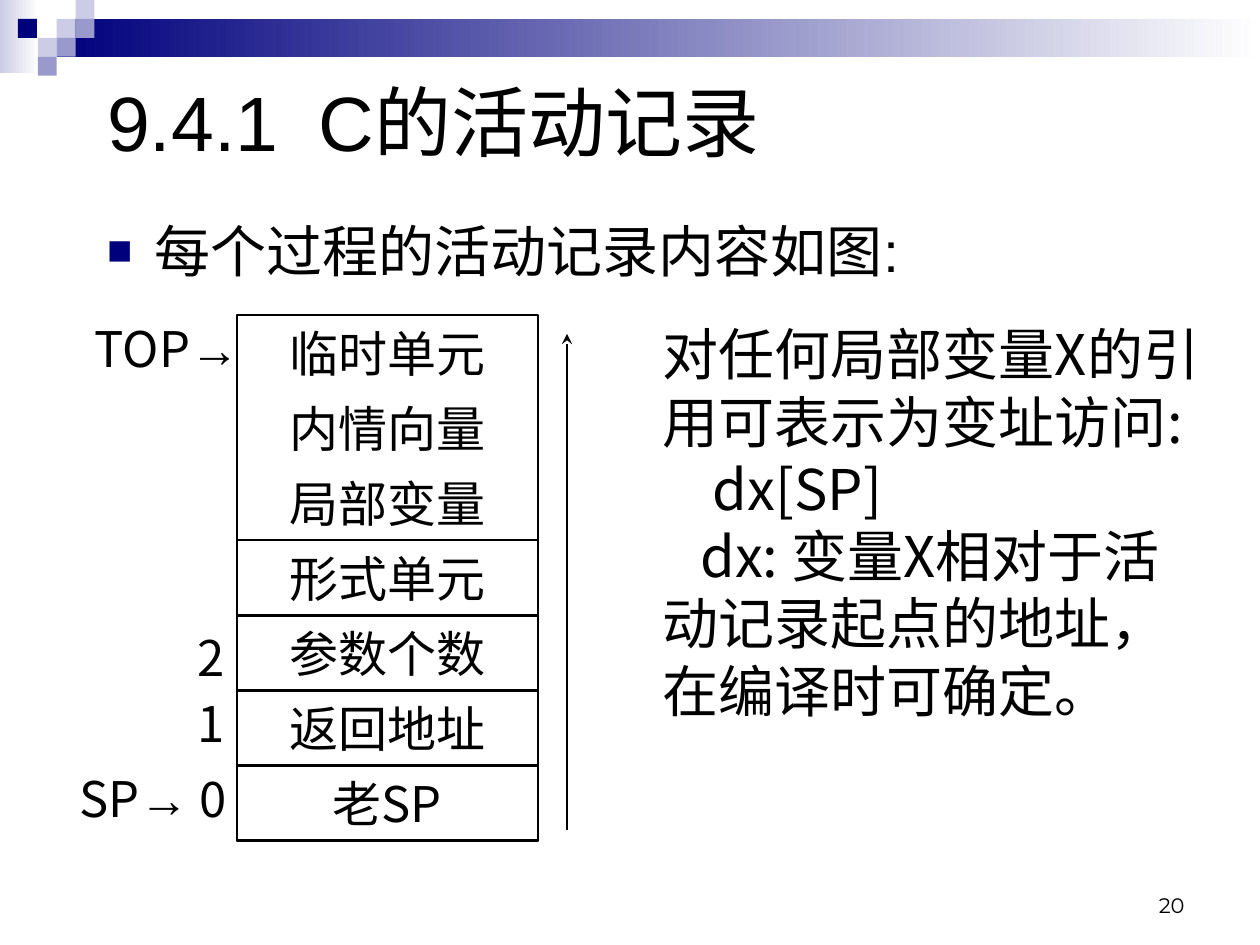
from lxml.etree import SubElement
from pptx import Presentation
from pptx.dml.color import RGBColor
from pptx.enum.shapes import MSO_CONNECTOR, MSO_SHAPE
from pptx.enum.text import MSO_ANCHOR, MSO_AUTO_SIZE, PP_ALIGN
from pptx.oxml.ns import qn
from pptx.util import Inches, Pt

COLORS = {"navy": "00007D", "mid": "9999CC", "pale": "CCCCE6",
          "white": "FFFFFF", "black": "000000"}
CJK = "Noto Sans CJK SC"
LATIN = "Arial"
UNIT = 0.1  # the slide is a grid of 100 columns by 75 rows


def rgb(name):
    return RGBColor.from_string(COLORS[name])


def grid(*cells):
    return [Inches(c * UNIT) for c in cells]


def add_xml(parent, tag, **attrs):
    return SubElement(parent, qn(tag), attrs)


def write(sp, paragraphs, size=28, font=CJK, align=PP_ALIGN.LEFT,
          anchor=MSO_ANCHOR.MIDDLE, wrap=False, indents=()):
    """Fill a shape; a paragraph is a string or a list of (text, font)."""
    tf = sp.text_frame
    tf.auto_size = MSO_AUTO_SIZE.NONE
    tf.word_wrap = wrap
    tf.vertical_anchor = anchor
    for i, runs in enumerate(paragraphs):
        p = tf.paragraphs[0] if i == 0 else tf.add_paragraph()
        p.alignment = align
        if i < len(indents):
            p._p.get_or_add_pPr().set("indent", str(Inches(indents[i] * UNIT)))
        for text, name in [(runs, font)] if isinstance(runs, str) else runs:
            r = p.add_run()
            r.text = text
            r.font.size = Pt(size)
            r.font.name = name
            r.font.color.rgb = rgb("black")
            add_xml(r._r.get_or_add_rPr(), "a:ea", typeface=CJK)
    return tf


def add_text(slide, box, paragraphs, **fmt):
    return write(slide.shapes.add_textbox(*grid(*box)), paragraphs, **fmt)


def add_rect(slide, box, fill=None, fade=None, line=False):
    sp = slide.shapes.add_shape(MSO_SHAPE.RECTANGLE, *grid(*box))
    sp.shadow.inherit = False
    if fade:
        sp.fill.gradient()
        sp.fill.gradient_angle = 0
        for stop, name in zip(sp.fill.gradient_stops, (fill, fade)):
            stop.color.rgb = rgb(name)
    elif fill:
        sp.fill.solid()
        sp.fill.fore_color.rgb = rgb(fill)
    else:
        sp.fill.background()
    if line:
        sp.line.color.rgb = rgb("black")
        sp.line.width = Pt(1.5)
    else:
        sp.line.fill.background()
    return sp


def banner(slide, left, top, width):
    """Fading bars with a checker of small squares."""
    side = 1.5
    add_rect(slide, (left, top, 3.1, 5.8), "pale", "white")
    add_rect(slide, (left + 3 * side, top + side, width - 3 * side, 2 * side),
             "navy", "white")
    squares = [(3, 1, "pale"), (4, 0, "pale"), (4, 1, "mid"), (2, 2, "pale"),
               (0.95, 1, "navy"), (3, 2, "mid"), (2, 3, "mid")]
    for col, row, color in squares:
        add_rect(slide, (left + col * side, top + row * side, side, side), color)


def heading(slide, title_box, body_box):
    """Title and the single bulleted line."""
    title, body = slide.shapes.title, slide.placeholders[1]
    for sp, box in ((title, title_box), (body, body_box)):
        sp.left, sp.top, sp.width, sp.height = grid(*box)
    tf = write(title, ["9.4.1\tC的活动记录"], size=44, font=LATIN, wrap=True)
    tabs = add_xml(tf.paragraphs[0]._p.get_or_add_pPr(), "a:tabLst")
    add_xml(tabs, "a:tab", pos=str(Inches(1.68)), algn="l")

    tf = write(body, ["每个过程的活动记录内容如图:"], size=32, font=LATIN,
               anchor=MSO_ANCHOR.TOP, wrap=True, indents=[-3.75])
    p = tf.paragraphs[0]
    p.space_before = Pt(0)
    pPr = p._p.get_or_add_pPr()
    pPr.set("marL", str(Inches(0.375)))
    add_xml(add_xml(pPr, "a:buClr"), "a:srgbClr", val=COLORS["navy"])
    add_xml(pPr, "a:buSzPct", val="75000")
    add_xml(pPr, "a:buFont", typeface=LATIN)
    add_xml(pPr, "a:buChar", char="■")


def activation_record(slide, left, top, width, height):
    """Stack of cells with pointer labels and the growth arrow."""
    cells = ["临时单元", "内情向量", "局部变量", "形式单元",
             "参数个数", "返回地址", "老SP"]
    open_cells = 3  # the first cells share one outline
    row = height / len(cells)
    add_rect(slide, (left, top, width, height), line=True)
    for i, text in enumerate(cells):
        box = (left, top + i * row, width, row)
        if i < open_cells:
            add_text(slide, box, [text], align=PP_ALIGN.CENTER)
        else:
            write(add_rect(slide, box, line=True), [text], align=PP_ALIGN.CENTER)

    # Pointers and offsets to the left of the cells
    labels = [
        (-8.8, 0, 7.6, [("TOP", CJK), ("→ ", LATIN)], PP_ALIGN.CENTER),
        (-6.3, 24.5, 6.3, "2", PP_ALIGN.RIGHT),
        (-6.3, 29.8, 6.3, "1", PP_ALIGN.RIGHT),
        (-9.8, 35.7, 6.3, [("SP", CJK), ("→", LATIN), (" 0", CJK)],
         PP_ALIGN.CENTER),
    ]
    for dx, dy, w, text, align in labels:
        add_text(slide, (left + dx, top + dy, w, 5.2), [text], align=align)

    # Direction of growth
    x = left + width + 2.3
    arrow = slide.shapes.add_connector(
        MSO_CONNECTOR.STRAIGHT, *grid(x, top + height - 0.8, x, top + 1.5))
    arrow.line.color.rgb = rgb("black")
    arrow.line.width = Pt(1.5)
    add_xml(arrow.line._get_or_add_ln(), "a:tailEnd", type="stealth")
    add_xml(arrow._element.spPr, "a:effectLst")


def explanation(slide, *box):
    add_text(slide, box, ["对任何局部变量X的引用可表示为变址访问:", "dx[SP]",
                          "dx: 变量X相对于活动记录起点的地址，在编译时可确定。"],
             size=32, anchor=MSO_ANCHOR.TOP, wrap=True, indents=[0, 4, 3])


def page_number(slide, *box):
    add_text(slide, box, ["20"], size=12, font="Montserrat",
             align=PP_ALIGN.RIGHT, anchor=MSO_ANCHOR.BOTTOM, wrap=True)


def main():
    prs = Presentation()
    prs.slide_width, prs.slide_height = grid(100, 75)
    slide = prs.slides.add_slide(prs.slide_layouts[1])
    banner(slide, 0, 0, 100)
    heading(slide, (7.5, 3.3, 85, 12.5), (7.5, 16.7, 82.5, 8.3))
    explanation(slide, 51.6, 24.9, 45, 42.5)
    activation_record(slide, 18.8, 25, 23.9, 41.7)
    page_number(slide, 71.7, 68.3, 23.3, 5)
    prs.save("out.pptx")


if __name__ == "__main__":
    main()
